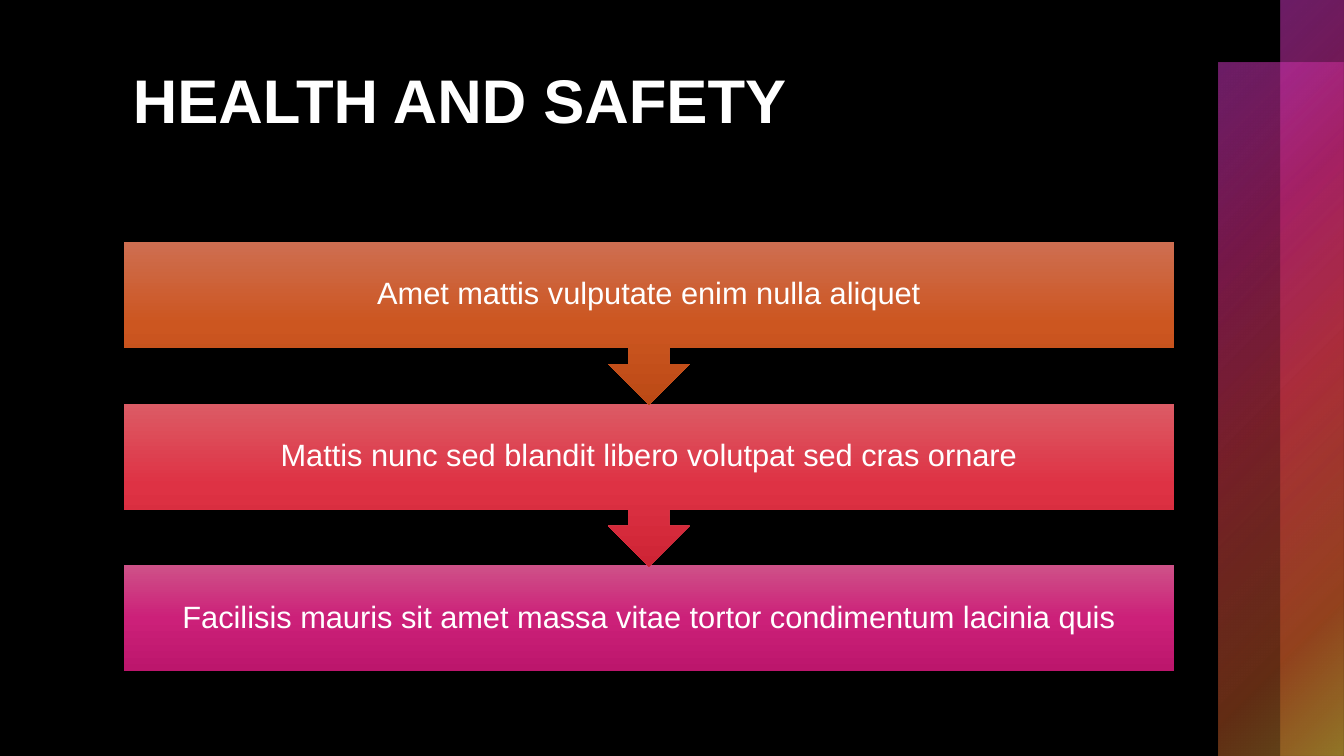
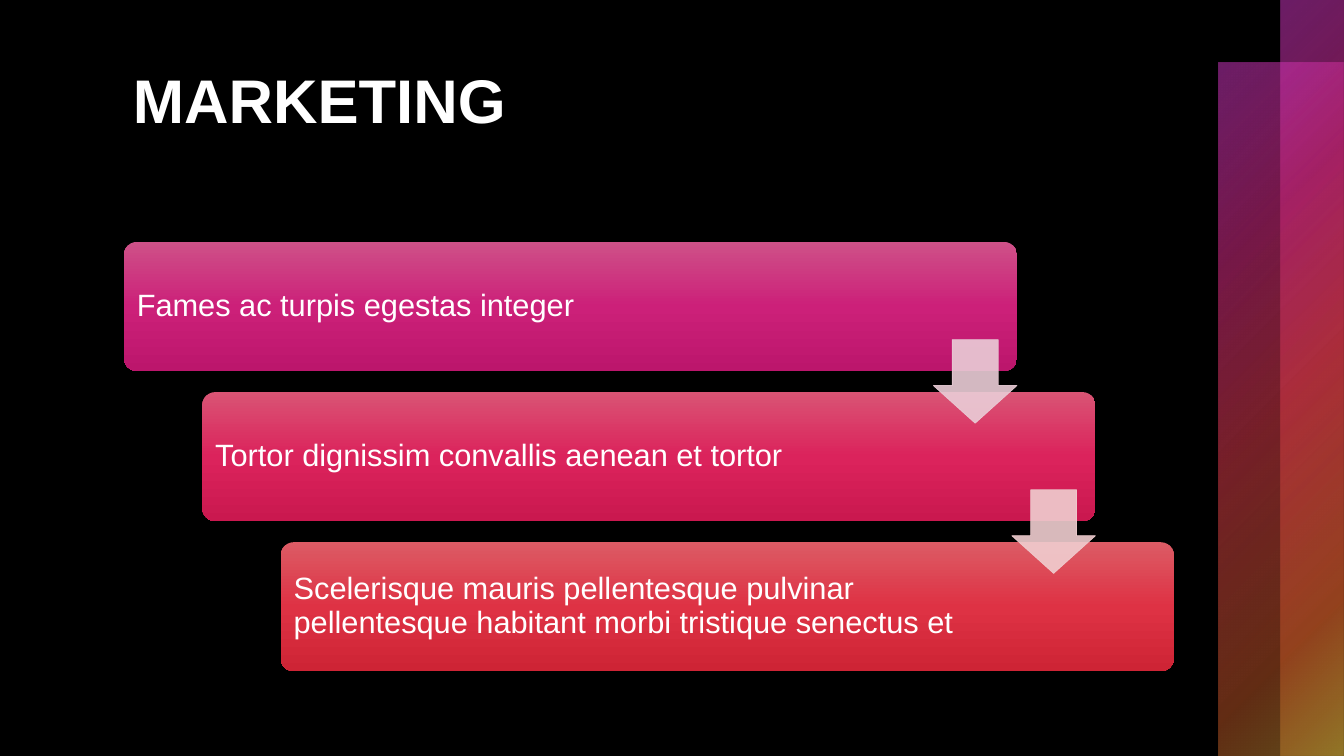
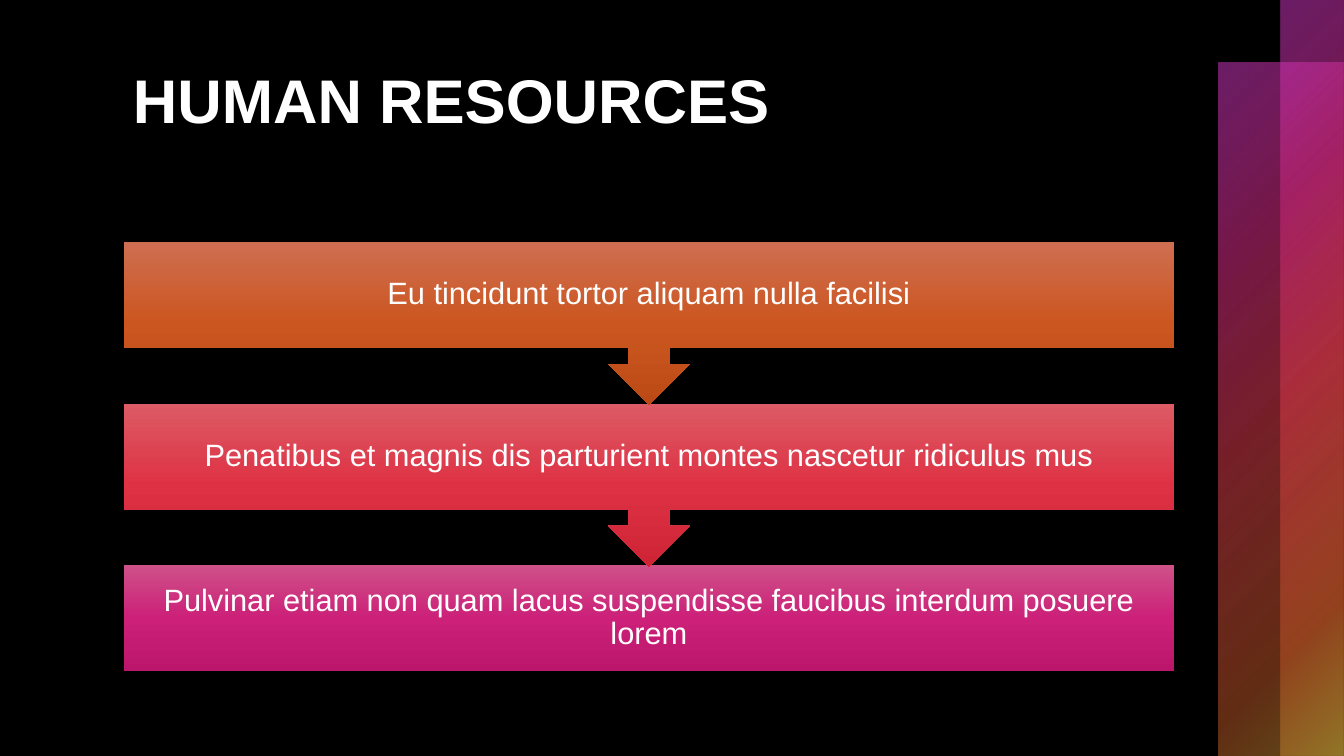
from pptx import Presentation, util as u
from pptx.dml.color import RGBColor
from pptx.enum import shapes, text
from pptx.oxml import parse_xml
from pptx.oxml.ns import nsdecls, qn

COLOURS = {
    "black": "000000", "white": "FFFFFF",
    "violet": "D63ACC", "plum": "C42879", "coral": "D63A4A", "rust": "C45928", "gold": "C39D35",
    "pink arrow": "EACDD7", "rose arrow": "F0CED0",
}
RAMPS = {
    "orange": ("CE6E51", "CC5620", "BC4A16"),
    "red": ("DC5B65", "DE3244", "CE2435"),
    "crimson": ("D95474", "DB235C", "CA184F"),
    "magenta": ("CE5188", "CC2079", "BC166C"),
}
GLOW = [("violet", 0, 50), ("plum", 25, 60), ("coral", 50, 55), ("rust", 81, 50), ("gold", 99, 50)]
CORNER = '<a:path path="circle"><a:fillToRect r="100000" b="100000"/></a:path>'
DOWNWARD = '<a:lin ang="5400000" scaled="0"/>'

COLUMNS, ROWS = 64, 36
LEFT, TOP, WIDTH = 5.9, 11.52, 50
STEP_HEIGHT, CALLOUT_HEIGHT, STEP_PITCH = 5.04, 7.76, 7.7
STAIR_WIDTH, STAIR_HEIGHT, STAIR_PITCH = 42.53, 6.14, 7.15
ARROW = 3.98


class Deck:
    """Presentation style and current slide, measured on a 64 by 36 grid of square cells."""

    def __init__(self):
        self.show = Presentation()
        self.cell = u.Inches(7.5) // ROWS
        self.show.slide_width = self.cell * COLUMNS
        self.show.slide_height = self.cell * ROWS

    def grid(self, *cells):
        return [u.Emu(round(cell * self.cell)) for cell in cells]

    def slide(self, title):
        self.page = self.show.slides.add_slide(self.show.slide_layouts[6])
        backdrop = self.page.background.fill
        backdrop.solid()
        backdrop.fore_color.rgb = RGBColor.from_string(COLOURS["black"])
        for band in ((58, 3, 6, 33), (61, 0, 3, 36)):
            stops = [(COLOURS[name], place, alpha) for name, place, alpha in GLOW]
            self.gradient(self.shape("RECTANGLE", *band), stops, CORNER)
        heading = self.page.shapes.add_textbox(*self.grid(LEFT - 0.04, 2.7, WIDTH, 7.9))
        self.words(heading, title, 44, bold=True)

    def shape(self, kind, *cells):
        member = getattr(shapes.MSO_SHAPE, kind)
        drawn = self.page.shapes.add_shape(member, *self.grid(*cells))
        drawn.shadow.inherit = False
        drawn.fill.background()
        drawn.line.fill.background()
        return drawn

    def gradient(self, drawn, stops, direction):
        marks = "".join(
            f'<a:gs pos="{place * 1000}"><a:srgbClr val="{colour}">'
            f'<a:alpha val="{alpha * 1000}"/></a:srgbClr></a:gs>'
            for colour, place, alpha in stops)
        blend = parse_xml(f'<a:gradFill {nsdecls("a")} rotWithShape="1">'
                          f'<a:gsLst>{marks}</a:gsLst>{direction}</a:gradFill>')
        properties = drawn._element.spPr
        properties.replace(properties.find(qn("a:noFill")), blend)

    def words(self, holder, wording, size, bold=False, align="LEFT", spacing=1.0):
        frame = holder.text_frame
        frame.word_wrap = True
        frame.text = wording
        line = frame.paragraphs[0]
        line.alignment = getattr(text.PP_ALIGN, align)
        line.line_spacing = spacing
        font = line.runs[0].font
        font.name, font.size, font.bold = "Arial", u.Pt(size), bold
        font.color.rgb = RGBColor.from_string(COLOURS["white"])

    def block(self, kind, cells, ramp, wording, align, inset, right_inset):
        drawn = self.shape(kind, *cells)
        stops = [(colour, place, 100) for colour, place in zip(RAMPS[ramp], (0, 50, 100))]
        self.gradient(drawn, stops, DOWNWARD)
        frame = drawn.text_frame
        frame.margin_left = frame.margin_top = frame.margin_bottom = u.Inches(inset)
        frame.margin_right = u.Inches(right_inset)
        frame.vertical_anchor = text.MSO_ANCHOR.MIDDLE
        self.words(drawn, wording, 22, align=align, spacing=0.9)
        return drawn

    def process(self, steps):
        ramps = ("orange", "red", "magenta")
        for row, (wording, ramp) in reversed(list(enumerate(zip(steps, ramps)))):
            last = row == len(steps) - 1
            kind = "RECTANGLE" if last else "DOWN_ARROW_CALLOUT"
            height = STEP_HEIGHT if last else CALLOUT_HEIGHT
            cells = (LEFT, TOP + row * STEP_PITCH, WIDTH, height)
            self.block(kind, cells, ramp, wording, "CENTER", 0.17, 0.17)

    def staircase(self, steps):
        shift = (WIDTH - STAIR_WIDTH) / (len(steps) - 1)
        for row, (wording, ramp) in enumerate(zip(steps, ("magenta", "crimson", "red"))):
            cells = (LEFT + row * shift, TOP + row * STAIR_PITCH, STAIR_WIDTH, STAIR_HEIGHT)
            stair = self.block("ROUNDED_RECTANGLE", cells, ramp, wording, "LEFT", 0.09, 1.7)
            stair.adjustments[0] = 0.1
        for row, colour in enumerate(("pink arrow", "rose arrow")):
            self.arrow(LEFT + row * shift + STAIR_WIDTH - ARROW,
                       TOP + row * STAIR_PITCH + (STAIR_HEIGHT + STAIR_PITCH - ARROW) / 2,
                       COLOURS[colour])

    def arrow(self, column, row, colour):
        drawn = self.shape("DOWN_ARROW", column, row, ARROW, ARROW)
        drawn.adjustments[0], drawn.adjustments[1] = 0.55, 0.45
        drawn.line.width = u.Pt(0.5)
        for paint in (drawn.fill, drawn.line.fill):
            paint.solid()
            paint.fore_color.rgb = RGBColor.from_string(colour)
        for tint in drawn._element.spPr.iter(qn("a:srgbClr")):
            tint.append(parse_xml(f'<a:alpha {nsdecls("a")} val="90000"/>'))


def main():
    deck = Deck()
    deck.slide("HEALTH AND SAFETY")
    deck.process([
        "Amet mattis vulputate enim nulla aliquet",
        "Mattis nunc sed blandit libero volutpat sed cras ornare",
        "Facilisis mauris sit amet massa vitae tortor condimentum lacinia quis",
    ])
    deck.slide("MARKETING")
    deck.staircase([
        "Fames ac turpis egestas integer",
        "Tortor dignissim convallis aenean et tortor",
        "Scelerisque mauris pellentesque pulvinar pellentesque habitant morbi tristique senectus et",
    ])
    deck.slide("HUMAN RESOURCES")
    deck.process([
        "Eu tincidunt tortor aliquam nulla facilisi",
        "Penatibus et magnis dis parturient montes nascetur ridiculus mus",
        "Pulvinar etiam non quam lacus suspendisse faucibus interdum posuere lorem",
    ])
    deck.show.save("out.pptx")


if __name__ == "__main__":
    main()
